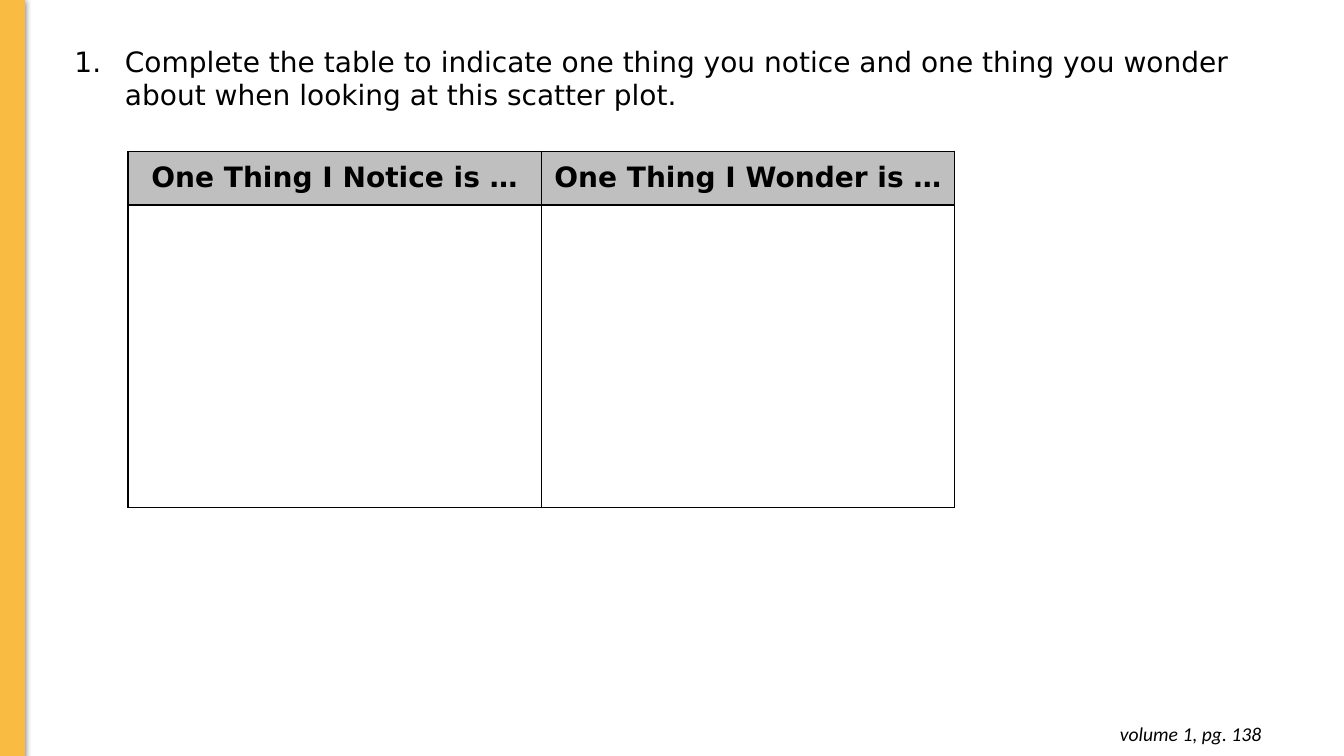
from lxml import etree
from pptx import Presentation
from pptx.dml.color import RGBColor
from pptx.enum.shapes import MSO_SHAPE
from pptx.enum.text import MSO_ANCHOR, MSO_AUTO_SIZE, PP_ALIGN
from pptx.oxml import parse_xml
from pptx.oxml.ns import qn
from pptx.util import Inches, Pt

BLACK = RGBColor(0x00, 0x00, 0x00)
GOLD = RGBColor(0xFA, 0xBB, 0x42)
GREY = RGBColor(0xBF, 0xBF, 0xBF)
RECT = MSO_SHAPE.RECTANGLE
CENTER, RIGHT = PP_ALIGN.CENTER, PP_ALIGN.RIGHT
MIDDLE = MSO_ANCHOR.MIDDLE
GROW = MSO_AUTO_SIZE.SHAPE_TO_FIT_TEXT

NS = 'xmlns:a="http://schemas.openxmlformats.org/drawingml/2006/main"'
BODY = {"name": "DejaVu Sans", "size": Pt(20)}
HEADER = {**BODY, "bold": True}
PAGE_REF = {"name": "Calibri", "size": Pt(14), "italic": True}
HEADINGS = ["One Thing I Notice is …", "One Thing I Wonder is …"]


def write(p, text, font):
    r = p.add_run()
    r.text = text
    for name, value in font.items():
        setattr(r.font, name, value)
    r.font.color.rgb = BLACK


def set_margins(target, size):
    for side in ("left", "right", "top", "bottom"):
        setattr(target, f"margin_{side}", size)


def add_side_bar(slide):
    s = slide.shapes.add_shape(RECT, Inches(0), Inches(-0.01), Inches(0.24), Inches(7.51))
    s.fill.solid()
    s.fill.fore_color.rgb = GOLD
    s.line.color.rgb = GOLD
    s.line.width = Pt(0.75)
    s.shadow.inherit = False
    effects = s._element.spPr.find(qn("a:effectLst"))
    effects.append(parse_xml(
        f'<a:outerShdw {NS} blurRad="{Pt(4.5)}" dist="{Pt(1.5)}" dir="5400000" rotWithShape="0">'
        '<a:srgbClr val="000000"><a:alpha val="50000"/></a:srgbClr></a:outerShdw>'))


def add_text(slide, left, top, width, height):
    """Add an empty wrapping text box and return its text frame."""
    s = slide.shapes.add_textbox(Inches(left), Inches(top), Inches(width), Inches(height))
    tf = s.text_frame
    tf.word_wrap = True
    tf.auto_size = GROW
    return tf


def add_question(slide, text):
    p = add_text(slide, 0.64, 0.39, 11.81, 1.11).paragraphs[0]
    pPr = p._p.get_or_add_pPr()
    pPr.set("marL", str(Inches(0.5)))
    pPr.set("indent", str(Inches(-0.5)))
    etree.SubElement(pPr, qn("a:buFont"), typeface=BODY["name"])
    etree.SubElement(pPr, qn("a:buAutoNum"), type="arabicPeriod")
    write(p, text, BODY)


def add_page_reference(slide, text):
    tf = add_text(slide, 9.73, 7.06, 2.88, 0.44)
    set_margins(tf, Inches(0.1))
    tf.paragraphs[0].alignment = RIGHT
    write(tf.paragraphs[0], text, PAGE_REF)


def set_borders(cell):
    tcPr = cell._tc.get_or_add_tcPr()
    for side in "LRTB":
        tcPr.append(parse_xml(
            f'<a:ln{side} {NS} w="{Pt(1)}"><a:solidFill><a:srgbClr val="{BLACK}"/>'
            f'</a:solidFill></a:ln{side}>'))


def add_response_table(slide):
    table = slide.shapes.add_table(2, len(HEADINGS), Inches(1.27), Inches(1.5),
                                   Inches(8.2), Inches(3.53)).table
    table.horz_banding = False
    for row, height in zip(table.rows, (0.53, 3)):
        row.height = Inches(height)
    for cell in table.iter_cells():
        set_borders(cell)
        cell.fill.background()
    for column, heading in enumerate(HEADINGS):
        table.columns[column].width = Inches(4.1)
        cell = table.cell(0, column)
        cell.fill.solid()
        cell.fill.fore_color.rgb = GREY
        cell.vertical_anchor = MIDDLE
        set_margins(cell, Inches(0.1))
        p = cell.text_frame.paragraphs[0]
        p.alignment = CENTER
        write(p, heading, HEADER)


def main():
    prs = Presentation()
    prs.slide_width, prs.slide_height = Inches(13.33), Inches(7.5)
    slide = prs.slides.add_slide(prs.slide_layouts[6])
    add_side_bar(slide)
    add_question(slide, "Complete the table to indicate one thing you notice and one thing "
                        "you wonder about when looking at this scatter plot.")
    add_response_table(slide)
    add_page_reference(slide, "volume 1, pg. 138")
    prs.save("out.pptx")


if __name__ == "__main__":
    main()
